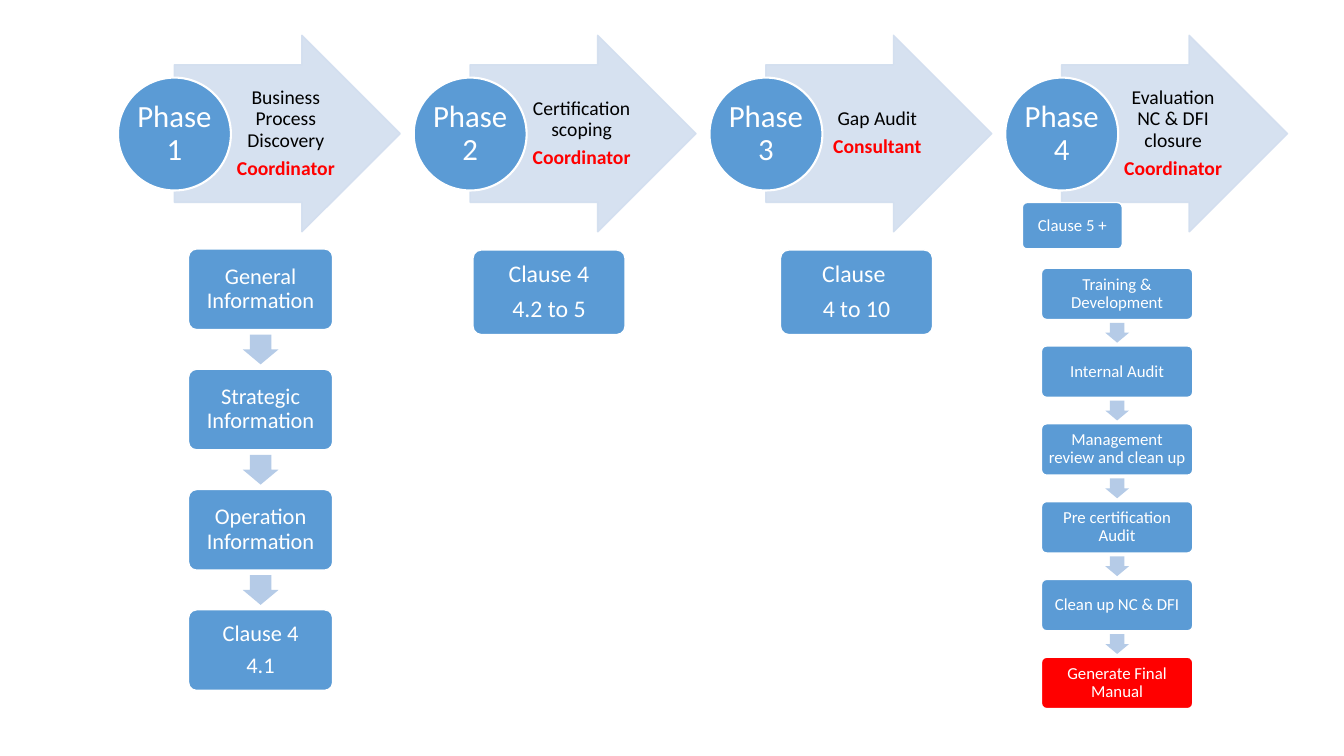
from dataclasses import dataclass

from lxml import etree
from pptx import Presentation
from pptx.dml.color import RGBColor
from pptx.enum.shapes import MSO_SHAPE
from pptx.enum.text import MSO_ANCHOR, PP_ALIGN
from pptx.oxml.ns import qn
from pptx.util import Inches, Pt

RIGHT, DOWN = MSO_SHAPE.RIGHT_ARROW, MSO_SHAPE.DOWN_ARROW
ROUND, OVAL = MSO_SHAPE.ROUNDED_RECTANGLE, MSO_SHAPE.OVAL
MIDDLE, CENTER = MSO_ANCHOR.MIDDLE, PP_ALIGN.CENTER


@dataclass(frozen=True)
class Theme:
    font: str = "Calibri"
    blue: str = "5B9BD5"
    pale: str = "D2DEEF"
    soft: str = "B5CBE7"
    red: str = "FF0000"
    white: str = "FFFFFF"
    black: str = "000000"
    phase: int = 22
    clause: int = 17
    step: int = 16
    label: int = 14
    small: int = 12


T = Theme()


def assign(obj, values):
    for name, value in values.items():
        setattr(obj, name, value)


def write(shape, lines, size, pads):
    """Fill a shape with centred lines of (text, colour, bold)."""
    frame = shape.text_frame
    sides = ("margin_left", "margin_top", "margin_right", "margin_bottom")
    assign(frame, {"word_wrap": True, "vertical_anchor": MIDDLE})
    assign(frame, dict(zip(sides, map(Inches, pads))))
    for i, (text, color, bold) in enumerate(lines):
        para = frame.add_paragraph() if i else frame.paragraphs[0]
        assign(para, {"alignment": CENTER, "line_spacing": 0.9,
                      "space_after": Pt(0.35 * size)})
        run = para.add_run()
        run.text = text
        assign(run.font, {"name": T.font, "size": Pt(size), "bold": bold})
        run.font.color.rgb = RGBColor.from_string(color)


def draw(slide, kind, box, fill, line=None, width=1, adjust=()):
    shape = slide.shapes.add_shape(kind, *map(Inches, box))
    shape.shadow.inherit = False
    shape.fill.solid()
    shape.fill.fore_color.rgb = RGBColor.from_string(fill)
    if line:
        shape.line.color.rgb = RGBColor.from_string(line)
        shape.line.width = Pt(width)
    else:
        shape.line.fill.background()
    for i, value in enumerate(adjust):
        shape.adjustments[i] = value
    return shape


def fade(shape, percent):
    """Set the opacity of a shape's fill and line."""
    for color in shape._element.spPr.iter(qn("a:srgbClr")):
        etree.SubElement(color, qn("a:alpha")).set("val", str(percent * 1000))


def card(slide, box, lines, size, pad=0.07, fill=T.blue):
    shape = draw(slide, ROUND, box, fill, T.white, adjust=[0.1])
    write(shape, [(text, T.white, False) for text in lines], size, [pad] * 4)


def phase(slide, box, number, task, role):
    """Wide arrow with a numbered circle, a task and its owner."""
    x, y, w, h = box
    disc = w * 0.4
    arrow = draw(slide, RIGHT, (x + disc / 2, y, w * 0.8, h), T.pale, T.pale,
                 adjust=[0.7, 0.5])
    fade(arrow, 90)
    note = slide.shapes.add_textbox(
        *map(Inches, (x + disc - 0.01, y + h * 0.15, 1.09, h * 0.7)))
    write(note, [(task, T.black, False), (role, T.red, True)], T.label,
          (0.04, 0.01, 0.02, 0.01))
    circle = draw(slide, OVAL, (x, y + 0.42, disc, disc), T.blue, T.white, 1.5)
    write(circle, [(f"Phase {number}", T.white, False)], T.phase, [0.02] * 4)


def flow(slide, box, steps, tall, size, pad, last=T.blue):
    """Equal cards down a column, with an arrow centred in each gap."""
    x, y, w, h = box
    pitch = (h - tall) / (len(steps) - 1)
    gap = pitch - tall
    high, wide = gap * 0.75, gap * 0.9
    for i, lines in enumerate(steps):
        top = y + i * pitch
        end = i == len(steps) - 1
        card(slide, (x, top, w, tall), lines, size, pad, last if end else T.blue)
        if not end:
            draw(slide, DOWN, (x + (w - wide) / 2, top + tall + (gap - high) / 2,
                               wide, high), T.soft, adjust=[0.6, 0.5])


def build(slide):
    # Phase arrows across the top
    phases = [("Business Process Discovery", "Coordinator"),
              ("Certification scoping", "Coordinator"),
              ("Gap Audit", "Consultant"),
              ("Evaluation NC & DFI closure", "Coordinator")]
    for i, (task, role) in enumerate(phases):
        phase(slide, (1.17 + i * 8.8 / 3, 0.35, 2.8, 1.95), i + 1, task, role)

    # Phase 1 steps
    flow(slide, (1.87, 2.47, 1.43, 4.38),
         [["General Information"], ["Strategic Information"],
          ["Operation Information"], ["Clause 4", "4.1"]], 0.8, T.step, 0.07)

    # Phase 2 and 3 clauses
    card(slide, (4.69, 2.48, 1.51, 0.84), ["Clause 4", "4.2 to 5"], T.clause)
    card(slide, (7.74, 2.48, 1.51, 0.84), ["Clause ", "4 to 10"], T.clause)

    # Phase 4 steps and clause
    flow(slide, (10.33, 2.66, 1.5, 4.37),
         [["Training & Development"], ["Internal Audit"],
          ["Management review and clean up"], ["Pre certification Audit"],
          ["Clean up NC & DFI"], ["Generate Final Manual"]],
         0.51, T.small, 0.05, T.red)
    card(slide, (10.14, 2.01, 0.99, 0.46), ["Clause 5 +"], T.small)


deck = Presentation()
assign(deck, {"slide_width": Inches(13.33), "slide_height": Inches(7.5)})
build(deck.slides.add_slide(deck.slide_layouts[6]))
deck.save("out.pptx")
